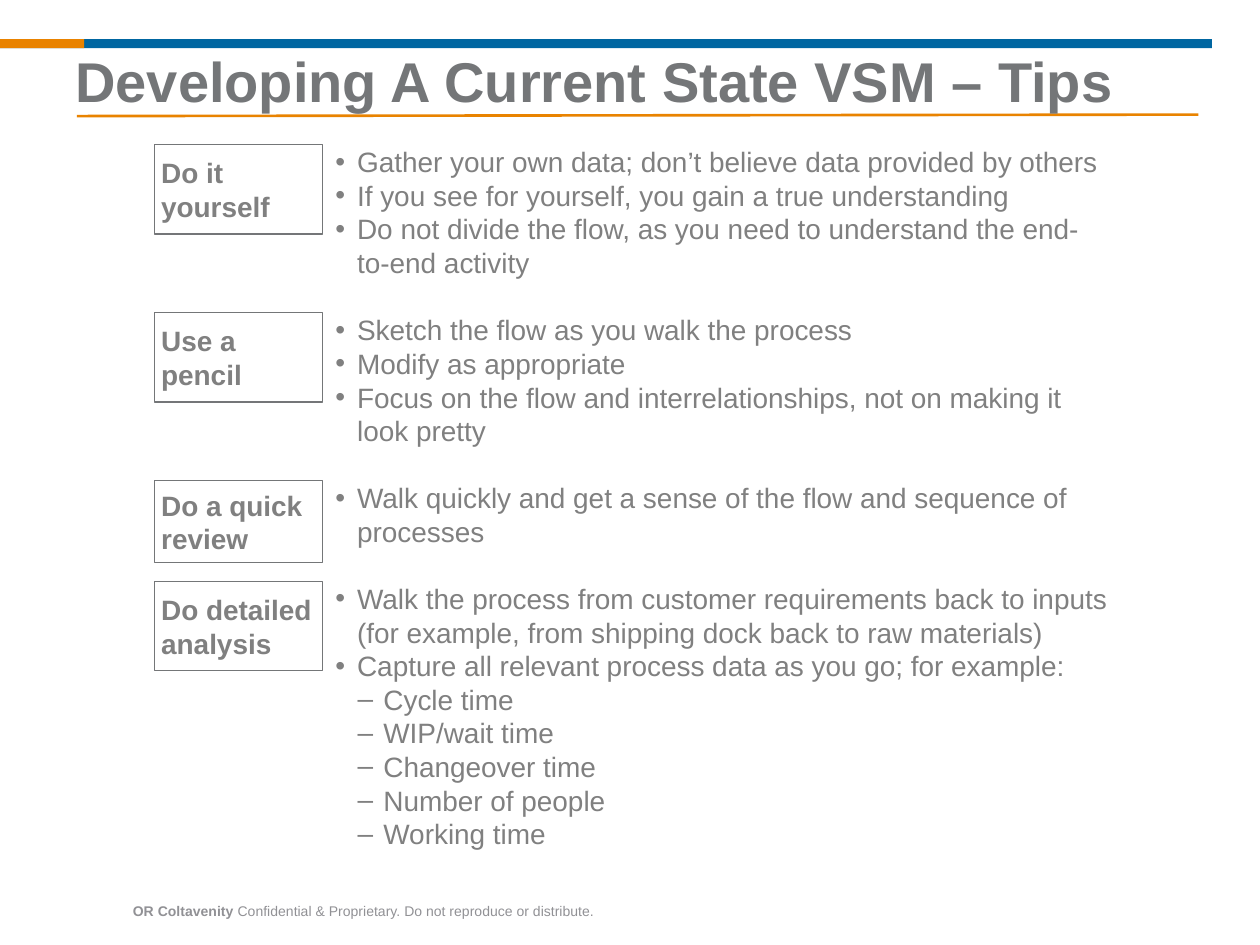
from dataclasses import dataclass

from lxml import etree
from pptx import Presentation
from pptx import util as u
from pptx.dml import color
from pptx.enum import shapes, text
from pptx.oxml import ns


@dataclass(frozen=True)
class Theme:
    font: str = "Arial"
    blue: str = "0066A1"
    orange: str = "E98300"
    white: str = "FFFFFF"
    title_gray: str = "747678"
    body_gray: str = "808080"
    footer_gray: str = "919195"
    title_size: int = 32
    body_size: int = 16
    footer_size: int = 8


THEME = Theme()
LINE_PITCH = THEME.body_size * 1.2 * 2.54 / 72
BULLETS = {0: ("•", 0.44, -0.44), 1: ("–", 0.97, -0.52)}

TIPS = [
    ("Do it yourself", 1.8, 15.49, 4, [
        (0, "Gather your own data; don’t believe data provided by others"),
        (0, "If you see for yourself, you gain a true understanding"),
        (0, "Do not divide the flow, as you need to understand the end-to-end activity"),
    ]),
    ("Use a pencil", 1.8, 15.49, 4, [
        (0, "Sketch the flow as you walk the process"),
        (0, "Modify as appropriate"),
        (0, "Focus on the flow and interrelationships, not on making it look pretty"),
    ]),
    ("Do a quick review", 1.65, 15.49, 2, [
        (0, "Walk quickly and get a sense of the flow and sequence of processes"),
    ]),
    ("Do detailed analysis", 1.8, 15.9, 8, [
        (0, "Walk the process from customer requirements back to inputs "
            "(for example, from shipping dock back to raw materials)"),
        (0, "Capture all relevant process data as you go; for example:"),
        (1, "Cycle time"),
        (1, "WIP/wait time"),
        (1, "Changeover time"),
        (1, "Number of people"),
        (1, "Working time"),
    ]),
]


def rgb(value):
    return color.RGBColor.from_string(value)


def apply_format(target, values):
    for name, value in values.items():
        setattr(target, name, value)


def set_margins(frame, horizontal, vertical):
    apply_format(frame, {
        "margin_left": u.Cm(horizontal), "margin_right": u.Cm(horizontal),
        "margin_top": u.Cm(vertical), "margin_bottom": u.Cm(vertical),
    })


def add_run(paragraph, content, size, fill, bold=False):
    run = paragraph.add_run()
    run.text = content
    apply_format(run.font, {"name": THEME.font, "size": u.Pt(size), "bold": bold})
    run.font.color.rgb = rgb(fill)


def add_rectangle(slide, box, fill, line=None):
    shape = slide.shapes.add_shape(shapes.MSO_SHAPE.RECTANGLE, *map(u.Cm, box))
    shape.shadow.inherit = False
    shape.fill.solid()
    shape.fill.fore_color.rgb = rgb(fill)
    if line:
        shape.line.color.rgb = rgb(line)
        shape.line.width = u.Pt(0.75)
    else:
        shape.line.fill.background()
    return shape


def add_text_box(slide, box, **frame_format):
    frame = slide.shapes.add_textbox(*map(u.Cm, box)).text_frame
    apply_format(frame, {"word_wrap": True, **frame_format})
    return frame


def set_bullet(paragraph, level):
    character, margin, indent = BULLETS[level]
    paragraph.level = level
    properties = paragraph._p.get_or_add_pPr()
    properties.set("marL", str(u.Cm(margin)))
    properties.set("indent", str(u.Cm(indent)))
    for tag, name, value in (("a:buFont", "typeface", THEME.font),
                             ("a:buChar", "char", character)):
        etree.SubElement(properties, ns.qn(tag)).set(name, value)


def add_header(slide, left, top, width):
    add_rectangle(slide, (left, top, width, 0.18), THEME.blue)
    add_rectangle(slide, (left, top, 1.7, 0.18), THEME.orange)
    rule = slide.shapes.add_connector(
        shapes.MSO_CONNECTOR.STRAIGHT,
        *map(u.Cm, (left + 1.55, top + 1.55, left + 24.16, top + 1.52)))
    rule.line.color.rgb = rgb(THEME.orange)
    rule.line.width = u.Pt(1.5)
    etree.SubElement(rule._element.spPr, ns.qn("a:effectLst"))
    frame = add_text_box(slide, (left + 1.27, top + 0.18, 22.73, 2.77))
    paragraph = frame.paragraphs[0]
    paragraph.line_spacing = 0.9
    add_run(paragraph, "Developing A Current State VSM – Tips",
            THEME.title_size, THEME.title_gray, bold=True)


def add_label(slide, box, content):
    shape = add_rectangle(slide, box, THEME.white, THEME.title_gray)
    frame = shape.text_frame
    apply_format(frame, {"word_wrap": True, "vertical_anchor": text.MSO_ANCHOR.MIDDLE})
    set_margins(frame, 0.13, 0.13)
    paragraph = frame.paragraphs[0]
    paragraph.alignment = text.PP_ALIGN.LEFT
    add_run(paragraph, content, THEME.body_size, THEME.body_gray, bold=True)


def add_bullets(slide, box, items):
    frame = add_text_box(slide, box, auto_size=text.MSO_AUTO_SIZE.SHAPE_TO_FIT_TEXT)
    set_margins(frame, 0, 0)
    for index, (level, content) in enumerate(items):
        paragraph = frame.add_paragraph() if index else frame.paragraphs[0]
        set_bullet(paragraph, level)
        add_run(paragraph, content, THEME.body_size, THEME.body_gray)


def add_tips(slide, left, top):
    for label, label_height, body_width, line_count, items in TIPS:
        add_label(slide, (left, top, 3.38, label_height), label)
        add_bullets(slide, (left + 3.64, top, body_width, line_count * LINE_PITCH), items)
        top += (line_count + 1) * LINE_PITCH


def add_footer(slide, box):
    frame = add_text_box(slide, box, word_wrap=False,
                         auto_size=text.MSO_AUTO_SIZE.SHAPE_TO_FIT_TEXT)
    paragraph = frame.paragraphs[0]
    paragraph.alignment = text.PP_ALIGN.RIGHT
    for content, bold in (("OR Coltavenity", True),
                          (" Confidential & Proprietary. Do not reproduce or distribute.", False)):
        add_run(paragraph, content, THEME.footer_size, THEME.footer_gray, bold)


def main():
    presentation = Presentation()
    presentation.slide_width = u.Cm(25.4)
    presentation.slide_height = u.Cm(19.05)
    slide = presentation.slides.add_slide(presentation.slide_layouts[6])
    add_header(slide, 0, 0.79, 24.43)
    add_footer(slide, (2.18, 18.06, 10.06, 0.61))
    add_tips(slide, 3.12, 2.92)
    presentation.save("out.pptx")


if __name__ == "__main__":
    main()
